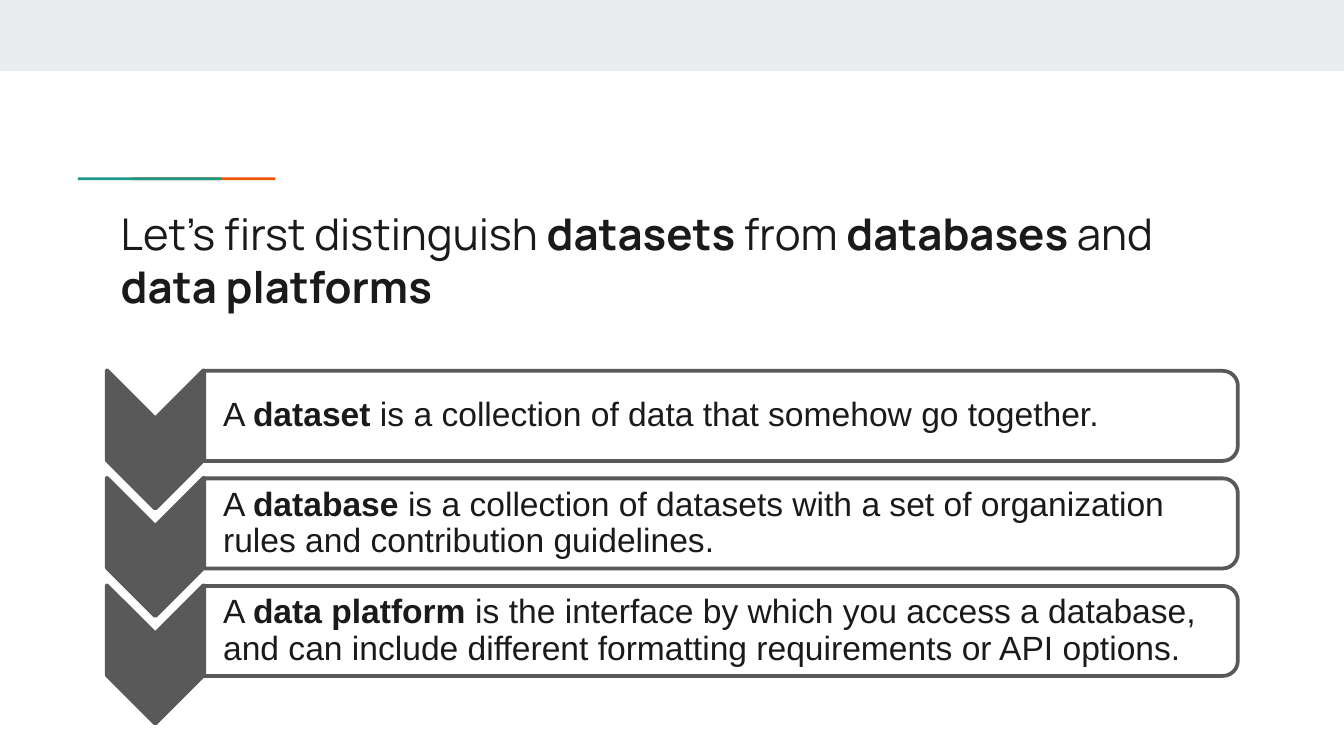
from lxml import etree
from pptx import Presentation
from pptx.dml.color import RGBColor
from pptx.enum.shapes import MSO_SHAPE as Shape
from pptx.enum.text import MSO_ANCHOR as Anchor
from pptx.oxml.ns import qn
from pptx.util import Inches, Pt

COLORS = {
    "band": "E9EDEE",
    "orange": "EB5600",
    "green": "1A9988",
    "gray": "595959",
    "panel": "FFFFFF",
    "text": "1A1A1A",
}

TITLE = [
    ("Let’s first distinguish ", False),
    ("datasets", True),
    (" from ", False),
    ("databases", True),
    (" and ", False),
    ("data platforms", True),
]

DEFINITIONS = [
    [("A ", False), ("dataset", True),
     (" is a collection of data that somehow go together.", False)],
    [("A ", False), ("database", True),
     (" is a collection of datasets with a set of organization rules and "
      "contribution guidelines.", False)],
    [("A ", False), ("data platform ", True),
     ("is the interface by which you access a database, and can include "
      "different formatting requirements or API options.", False)],
]

ROW_TOP, ROW_STEP = 2.75, 0.8


def color(name):
    return RGBColor.from_string(COLORS[name])


def add_block(slide, kind, box, fill, line=None, rotation=0):
    block = slide.shapes.add_shape(kind, *map(Inches, box))
    block.shadow.inherit = False
    block.rotation = rotation
    block.fill.solid()
    block.fill.fore_color.rgb = color(fill)
    if line:
        block.line.color.rgb = color(line)
        block.line.width = Pt(2)
    else:
        block.line.fill.background()
    return block


def set_opacity(block, percent):
    fill_color = block.fill._xPr.find(qn("a:solidFill"))[0]
    etree.SubElement(fill_color, qn("a:alpha"), val=str(percent * 1000))


def add_text(slide, box, parts, *, font, size, margins, spacing=1.0,
             anchor=Anchor.TOP):
    """Add one paragraph made of (text, bold) parts."""
    frame = slide.shapes.add_textbox(*map(Inches, box)).text_frame
    frame.word_wrap = True
    frame.vertical_anchor = anchor
    (frame.margin_left, frame.margin_top,
     frame.margin_right, frame.margin_bottom) = map(Inches, margins)
    paragraph = frame.paragraphs[0]
    paragraph.line_spacing = spacing
    for text, bold in parts:
        run = paragraph.add_run()
        run.text = text
        run.font.name = font
        run.font.size = Pt(size)
        run.font.bold = bold
        run.font.color.rgb = color("text")


def add_definition(slide, top, parts):
    """Add a downward chevron with its definition panel beside it."""
    add_block(slide, Shape.CHEVRON, (0.64, top + 0.16, 1.03, 0.72),
              "gray", "gray", rotation=90)
    panel = add_block(slide, Shape.ROUND_2_SAME_RECTANGLE,
                      (5.03, top - 3.5, 0.67, 7.69),
                      "panel", "gray", rotation=90)
    set_opacity(panel, 90)
    add_text(slide, (1.52, top + 0.04, 7.65, 0.61), parts, font="Arial",
             size=18, margins=(0.14, 0.01, 0.01, 0.01), spacing=0.9,
             anchor=Anchor.MIDDLE)


def main():
    deck = Presentation()
    deck.slide_width, deck.slide_height = Inches(10), Inches(5.625)
    slide = deck.slides.add_slide(deck.slide_layouts[6])

    add_block(slide, Shape.RECTANGLE, (0, 0, 10, 0.53), "band")
    for left, accent in ((0.98, "orange"), (0.58, "green")):
        add_block(slide, Shape.RECTANGLE, (left, 1.32, 1.07, 0.02), accent)

    add_text(slide, (0.8, 1.44, 8.41, 0.59), TITLE, font="Manrope",
             size=23.4, margins=(0.1, 0.1, 0.1, 0.1))
    for row, parts in enumerate(DEFINITIONS):
        add_definition(slide, ROW_TOP + row * ROW_STEP, parts)

    deck.save("out.pptx")


if __name__ == "__main__":
    main()
